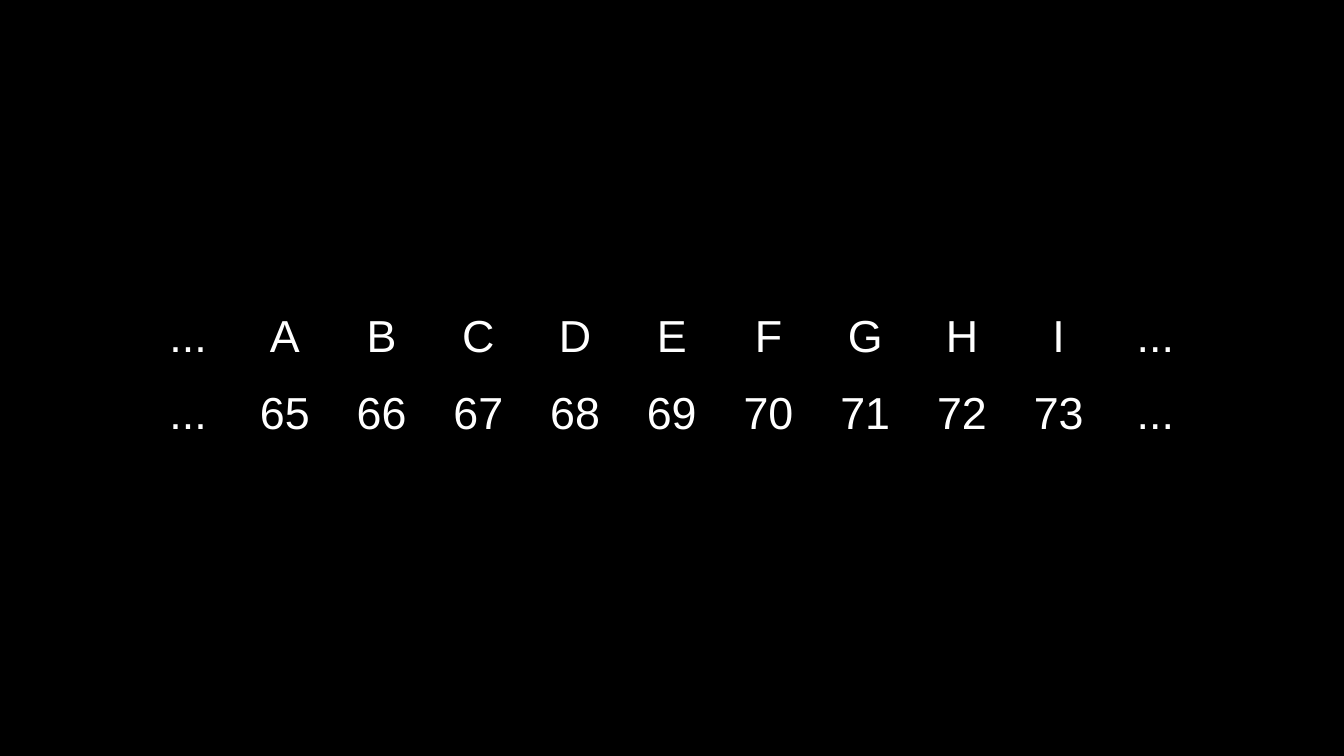
from lxml.etree import SubElement
from pptx import Presentation
from pptx.dml.color import RGBColor
from pptx.enum.text import PP_ALIGN
from pptx.oxml.ns import qn
from pptx.util import Inches, Pt

COLORS = {"background": "000000", "text": "FFFFFF"}
CELL_FORMAT = {f"margin_{side}": Inches(0.1)
               for side in ("left", "right", "top", "bottom")}
FONT_FORMAT = {"name": "Arial", "size": Pt(24), "bold": False}

LETTERS = "ABCDEFGHI"
CODE_ROWS = [
    ["...", *LETTERS, "..."],
    ["...", *(str(ord(letter)) for letter in LETTERS), "..."],
]


def apply_format(target, values):
    for attribute, value in values.items():
        setattr(target, attribute, value)


def clear_borders(cell):
    properties = cell._tc.get_or_add_tcPr()
    for edge in ("a:lnL", "a:lnR", "a:lnT", "a:lnB"):
        border = SubElement(properties, qn(edge), w="0")
        SubElement(border, qn("a:noFill"))


def add_code_table(slide, left, top, width, height):
    """Place the letters above their character codes, in equal cells."""
    row_count, column_count = len(CODE_ROWS), len(CODE_ROWS[0])
    code_table = slide.shapes.add_table(
        row_count, column_count, Inches(left), Inches(top),
        Inches(width), Inches(height)).table
    code_table.first_row = False
    code_table.horz_banding = False

    # Equal columns and rows
    for column in code_table.columns:
        column.width = Inches(width / column_count)
    for row in code_table.rows:
        row.height = Inches(height / row_count)

    # Plain cells with centred text
    for row, entries in zip(code_table.rows, CODE_ROWS):
        for cell, entry in zip(row.cells, entries):
            clear_borders(cell)
            cell.fill.background()
            apply_format(cell, CELL_FORMAT)
            cell.text = entry
            paragraph = cell.text_frame.paragraphs[0]
            paragraph.alignment = PP_ALIGN.CENTER
            font = paragraph.runs[0].font
            apply_format(font, FONT_FORMAT)
            font.color.rgb = RGBColor.from_string(COLORS["text"])


def main():
    # Widescreen slide, 16 to 9
    presentation = Presentation()
    presentation.slide_width = Inches(10)
    presentation.slide_height = Inches(10 * 9 / 16)
    slide = presentation.slides.add_slide(presentation.slide_layouts[6])

    # Background
    slide.background.fill.solid()
    slide.background.fill.fore_color.rgb = RGBColor.from_string(
        COLORS["background"])

    # Character codes
    add_code_table(slide, left=1.04, top=2.22, width=7.92, height=0.84)
    presentation.save("out.pptx")


if __name__ == "__main__":
    main()
